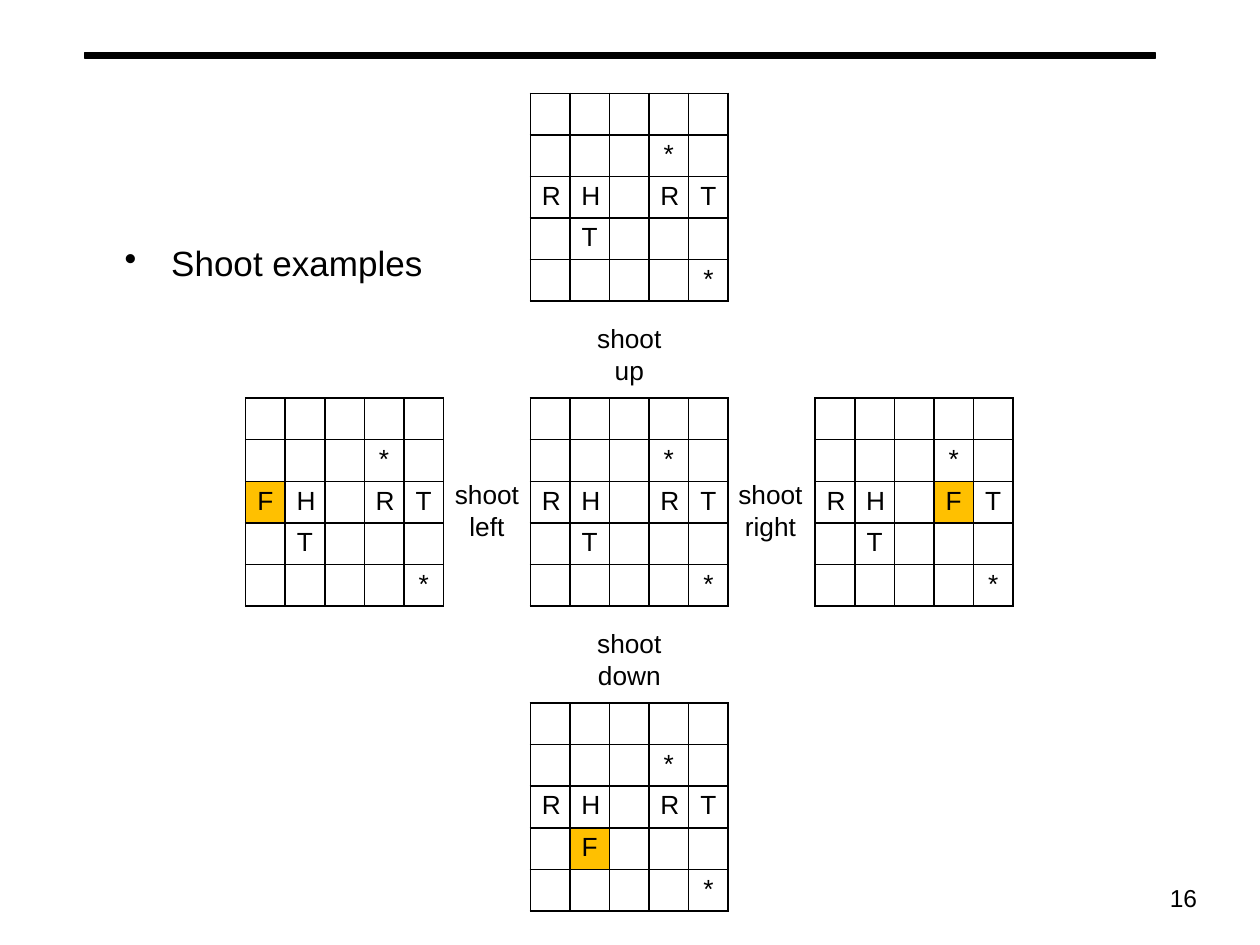
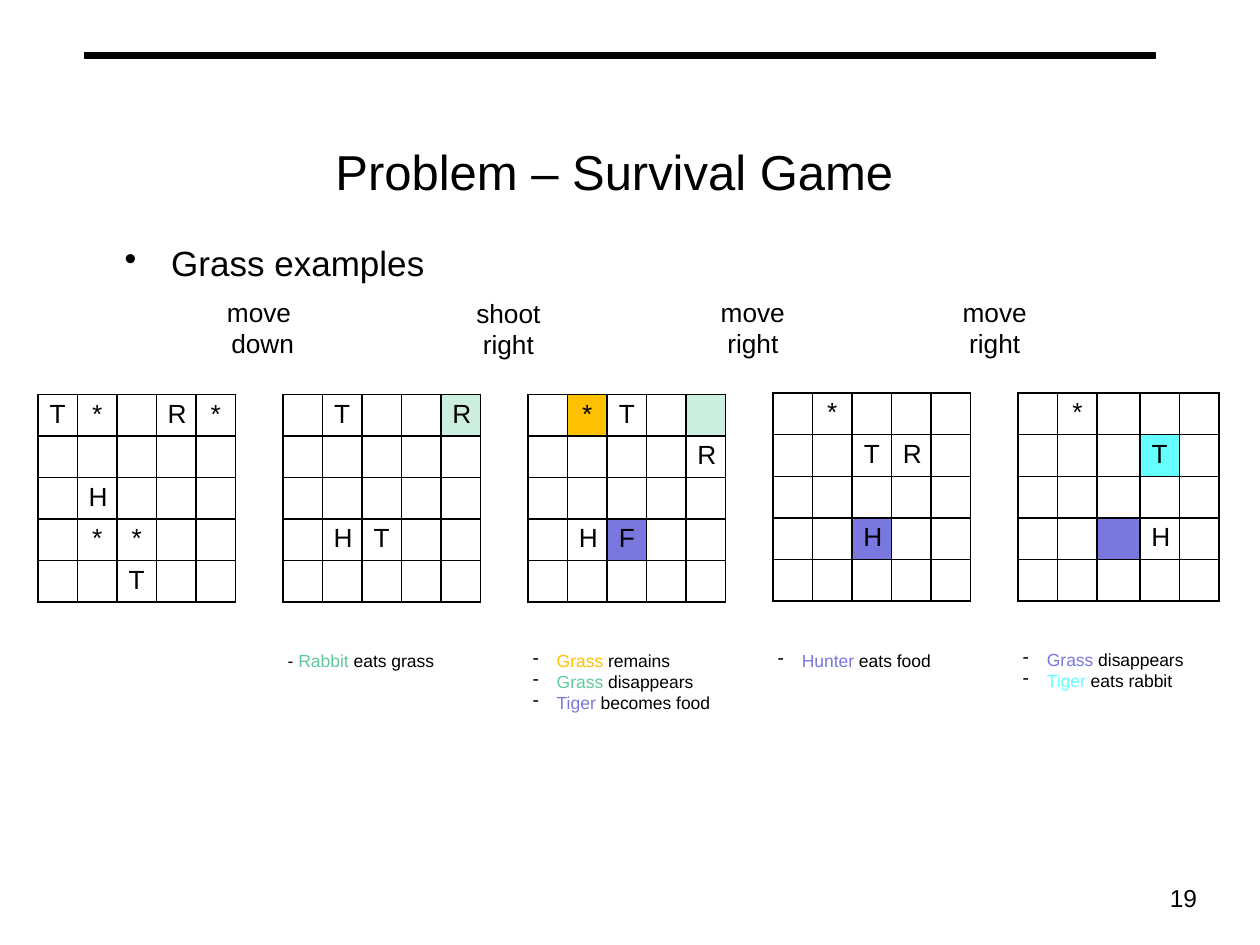
from lxml import etree
from pptx import Presentation
from pptx.dml.color import RGBColor
from pptx.enum.shapes import MSO_SHAPE
from pptx.enum.text import MSO_ANCHOR, PP_ALIGN
from pptx.oxml import parse_xml
from pptx.oxml.ns import nsdecls, qn
from pptx.util import Inches, Pt

LEFT, CENTER, RIGHT = PP_ALIGN.LEFT, PP_ALIGN.CENTER, PP_ALIGN.RIGHT
TOP, MIDDLE = MSO_ANCHOR.TOP, MSO_ANCHOR.MIDDLE
RECT = MSO_SHAPE.RECTANGLE


class Theme:
    font = "Arial"
    black, gold, mint = "000000", "FFC000", "CCEEDF"
    green, violet, cyan = "60C99C", "7878DE", "66FFFF"
    title, body, label, page, note = Pt(28), Pt(20), Pt(15), Pt(14), Pt(10)


def write(slide, box, lines, size, align=LEFT, anchor=TOP, bullet=None, indent=0, spacing=None):
    """Add a text box; each line is a list of (text, colour) runs."""
    frame = slide.shapes.add_textbox(*map(Inches, box)).text_frame
    frame.word_wrap = True
    frame.vertical_anchor = anchor
    for i, runs in enumerate(lines):
        para = frame.add_paragraph() if i else frame.paragraphs[0]
        para.alignment = align
        if bullet:
            props = para._p.get_or_add_pPr()
            props.set("marL", str(Inches(indent)))
            props.set("indent", str(-Inches(indent)))
            tint = etree.SubElement(props, qn("a:buClr"))
            etree.SubElement(tint, qn("a:srgbClr"), val=Theme.black)
            etree.SubElement(props, qn("a:buChar"), char=bullet)
        if spacing:
            para.line_spacing = spacing
        para.font.name, para.font.size = Theme.font, size
        for text, color in runs:
            run = para.add_run()
            run.text = text
            run.font.color.rgb = RGBColor.from_string(color)


def draw_board(slide, left, top, rows, fills):
    """Add a board from strings, '.' being empty; fills maps (row, col) to a colour."""
    count = len(rows)
    side, height = Inches(1.57), Inches(0.33)
    table = slide.shapes.add_table(count, count, Inches(left), Inches(top),
                                   side, height * count).table
    table.first_row = table.horz_banding = False
    for line in table.rows:
        line.height = height
    for column in table.columns:
        column.width = side // count
    for r, row in enumerate(rows):
        for c, mark in enumerate(row):
            cell = table.cell(r, c)
            props = cell._tc.get_or_add_tcPr()
            for edge in ("lnL", "lnR", "lnT", "lnB"):
                props.append(parse_xml(
                    f'<a:{edge} {nsdecls("a")} w="{Pt(1)}"><a:solidFill>'
                    f'<a:srgbClr val="{Theme.black}"/></a:solidFill></a:{edge}>'))
            if (r, c) in fills:
                cell.fill.solid()
                cell.fill.fore_color.rgb = RGBColor.from_string(fills[r, c])
            else:
                cell.fill.background()
            cell.margin_left = cell.margin_right = Inches(0.09)
            cell.margin_top = cell.margin_bottom = Inches(0.04 if mark != "." else 0)
            para = cell.text_frame.paragraphs[0]
            para.alignment = CENTER
            para.font.name, para.font.size = Theme.font, Theme.label
            para.font.color.rgb = RGBColor.from_string(Theme.black)
            if mark != ".":
                para.add_run().text = mark
    return table


deck = Presentation()
deck.slide_width, deck.slide_height = Inches(10), Inches(7.5)
shoot = deck.slides.add_slide(deck.slide_layouts[6])
grass = deck.slides.add_slide(deck.slide_layouts[5])

# Shared rule, page number and topic
for slide, page, topic in ((shoot, "16", "Shoot examples"), (grass, "19", "Grass examples")):
    rule = slide.shapes.add_shape(RECT, Inches(0.67), Inches(0.42), Inches(8.5), Inches(0.04))
    rule.shadow.inherit = False
    rule.fill.solid()
    rule.fill.fore_color.rgb = rule.line.color.rgb = RGBColor.from_string(Theme.black)
    rule.line.width = Pt(0.75)
    write(slide, (7.53, 6.88, 2.07, 0.49), [[(page, Theme.black)]], Theme.page, RIGHT, MIDDLE)
    write(slide, (0.89, 1.77, 8.18, 5.05), [[(topic, Theme.black)]], Theme.body,
          bullet="•", indent=0.37, spacing=1.3)

# Shoot: the start board in the middle, one result on each side
start = [".....", "...*.", "RH.RT", ".T...", "....*"]
mid_x, mid_y, step_x, step_y = 4.21, 3.16, 2.26, 2.42
for dx, dy, hit in ((0, 0, None), (1, 0, (2, 3)), (0, 1, (3, 1)), (-1, 0, (2, 0)), (0, -1, None)):
    rows, fills = list(start), {}
    if hit:
        r, c = hit
        rows[r] = rows[r][:c] + "F" + rows[r][c + 1:]
        fills[hit] = Theme.gold
    draw_board(shoot, mid_x + dx * step_x, mid_y + dy * step_y, rows, fills)

for left, top, text in ((3.5, 3.75, "shoot left"), (5.75, 3.75, "shoot right"),
                        (4.63, 4.93, "shoot down"), (4.63, 2.51, "shoot up")):
    write(shoot, (left, top, 0.73, 0.61), [[(text, Theme.black)]], Theme.label, CENTER)

# Grass: five boards in a row, with the moves above and notes below
title = grass.shapes.title
title.left, title.top, title.width, title.height = map(Inches, (0.67, 0.53, 8.41, 1.02))
title.text_frame.text = "Problem – Survival Game"
title.text_frame.vertical_anchor = MIDDLE
head = title.text_frame.paragraphs[0]
head.alignment, head.line_spacing = CENTER, 2.36
head.font.name, head.font.size = Theme.font, Theme.title
head.font.color.rgb = RGBColor.from_string(Theme.black)

boards = [
    (3.13, ["T*.R*", ".....", ".H...", ".**..", "..T.."], {}),
    (3.13, [".T..R", ".....", ".....", ".HT..", "....."], {(0, 4): Theme.mint}),
    (3.13, [".*T..", "....R", ".....", ".HF..", "....."],
     {(0, 1): Theme.gold, (0, 4): Theme.mint, (3, 2): Theme.violet}),
    (3.12, [".*...", "..TR.", ".....", "..H..", "....."], {(3, 2): Theme.violet}),
    (3.12, [".*...", "...T.", ".....", "...H.", "....."],
     {(1, 3): Theme.cyan, (3, 2): Theme.violet}),
]
lefts = [0.3 + 1.945 * i for i in range(len(boards))]
for left, (top, rows, fills) in zip(lefts, boards):
    last = draw_board(grass, left, top, rows, fills)
last.columns[2].width = Inches(0.34)

for left, top, words in ((1.6, 2.3, ("move ", "down")), (3.55, 2.31, ("shoot", "right")),
                         (5.49, 2.3, ("move", "right")), (7.41, 2.3, ("move", "right"))):
    write(grass, (left, top, 0.97, 0.68), [[(word, Theme.black)] for word in words],
          Theme.label, CENTER)

notes = [
    (5.11, 0.51, None, [("Rabbit", Theme.green, " eats grass")]),
    (5.11, 0.75, "-", [("Grass", Theme.gold, " remains"),
                       ("Grass", Theme.green, " disappears"),
                       ("Tiger", Theme.violet, " becomes food")]),
    (5.11, 0.27, "-", [("Hunter", Theme.violet, " eats food")]),
    (5.1, 0.44, "-", [("Grass", Theme.violet, " disappears"),
                      ("Tiger", Theme.cyan, " eats rabbit")]),
]
for left, (top, height, bullet, facts) in zip(lefts[1:], notes):
    dash = [] if bullet else [("- ", Theme.black)]
    lines = [dash + [(who, color), (what, Theme.black)] for who, color, what in facts]
    write(grass, (left - 0.06, top, 1.71, height), lines, Theme.note,
          bullet=bullet, indent=0.19)

deck.save("out.pptx")
